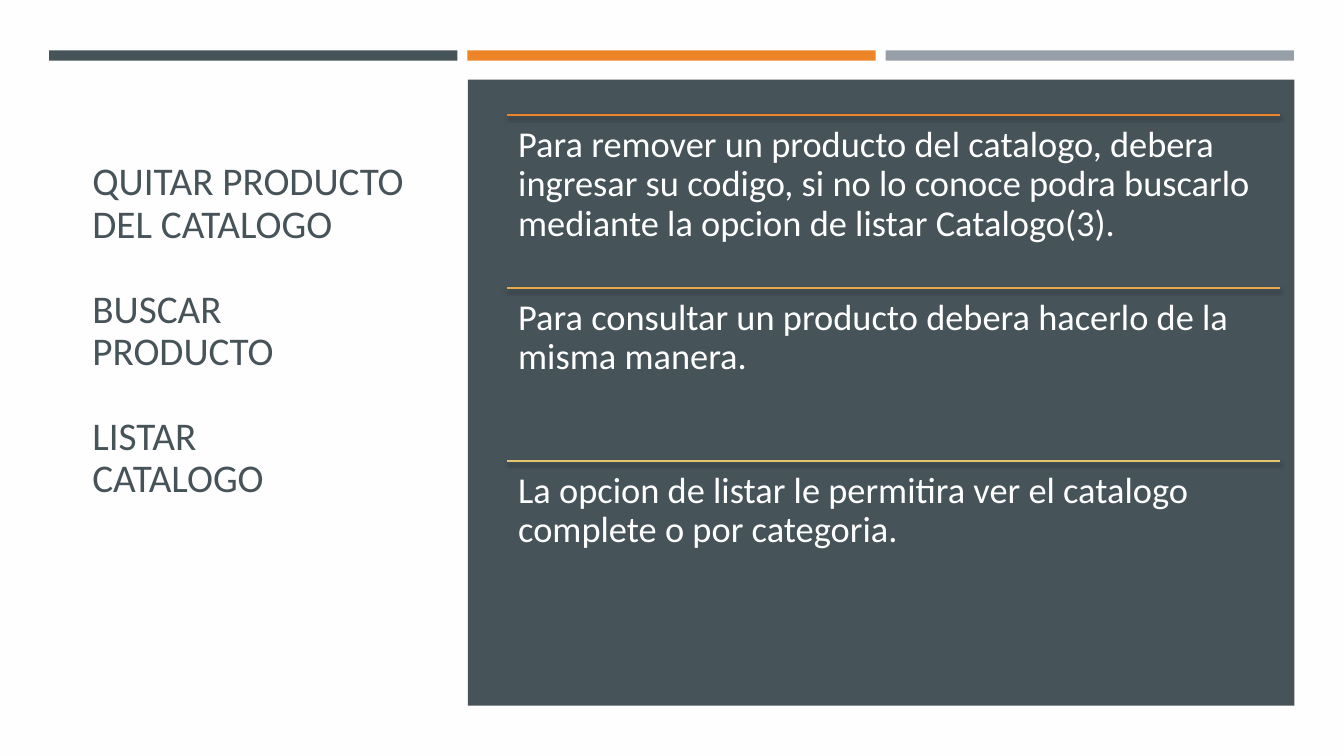
from lxml.etree import SubElement
from pptx import Presentation
from pptx.dml.color import RGBColor
from pptx.enum.shapes import MSO_CONNECTOR, MSO_SHAPE
from pptx.enum.text import MSO_ANCHOR
from pptx.oxml.ns import qn
from pptx.util import Cm, Pt

COLORS = {
    "paper": "FFFEFF",
    "slate": "465359",
    "orange": "ED8428",
    "gray": "969FA7",
    "amber": "E8A94C",
    "gold": "E6C46D",
    "white": "FFFFFF",
    "black": "000000",
}


class SlideBuilder:
    font = "Calibri"
    line_spacing = 0.9

    def __init__(self, s):
        self.s = s

    def color(self, name):
        return RGBColor.from_string(COLORS[name])

    def rect(self, x, y, w, h, fill):
        sp = self.s.shapes.add_shape(MSO_SHAPE.RECTANGLE, Cm(x), Cm(y), Cm(w), Cm(h))
        sp.shadow.inherit = False
        sp.fill.solid()
        sp.fill.fore_color.rgb = self.color(fill)
        sp.line.fill.background()

    def text(self, x, y, w, h, paragraphs, size, color, space_after=0):
        tf = self.s.shapes.add_textbox(Cm(x), Cm(y), Cm(w), Cm(h)).text_frame
        tf.word_wrap = True
        tf.text = "\n".join(paragraphs)
        for p in tf.paragraphs:
            p.font.name = self.font
            p.font.size = Pt(size)
            p.font.color.rgb = self.color(color)
            p.line_spacing = self.line_spacing
            p.space_after = Pt(space_after)
        return tf

    def rule(self, x, y, w, color):
        line = self.s.shapes.add_connector(
            MSO_CONNECTOR.STRAIGHT, Cm(x), Cm(y), Cm(x + w), Cm(y))
        line.line.color.rgb = self.color(color)
        line.line.width = Pt(1)
        # Soft shadow straight below the line
        effects = SubElement(line._element.spPr, qn("a:effectLst"))
        shadow = SubElement(effects, qn("a:outerShdw"), blurRad=str(Pt(3)),
                            dist=str(Pt(2)), dir="5400000", rotWithShape="0")
        clr = SubElement(shadow, qn("a:srgbClr"), val=COLORS["black"])
        SubElement(clr, qn("a:alpha"), val="55000")


def main():
    prs = Presentation()
    prs.slide_width, prs.slide_height = Cm(33.87), Cm(19.05)
    slide = SlideBuilder(prs.slides.add_slide(prs.slide_layouts[6]))

    # Background
    slide.rect(0, 0, 33.87, 19.05, "paper")

    # Title
    topics = ["QUITAR PRODUCTO DEL CATALOGO", "BUSCAR\vPRODUCTO", "LISTAR\vCATALOGO"]
    tf = slide.text(2.08, 2.9, 8.48, 13.08, topics, 28, "slate", space_after=30.5)
    tf.vertical_anchor = MSO_ANCHOR.MIDDLE
    tf.margin_bottom = Cm(2.29)

    # Top bars
    for i, fill in enumerate(["slate", "orange", "gray"]):
        slide.rect(1.24 + i * 10.54, 1.27, 10.29, 0.26, fill)

    # Panel with one ruled row per topic
    slide.rect(11.79, 2.01, 20.83, 15.77, "slate")
    rows = [
        ("orange", "Para remover un producto del catalogo, debera ingresar su codigo, "
                   "si no lo conoce podra buscarlo mediante la opcion de listar Catalogo(3)."),
        ("amber", "Para consultar un producto debera hacerlo de la misma manera."),
        ("gold", "La opcion de listar le permitira ver el catalogo complete o por categoria."),
    ]
    x, w, row_h = 12.78, 19.48, 4.36
    for i, (color, text) in enumerate(rows):
        y = 2.9 + i * row_h
        slide.rule(x, y, w, color)
        tf = slide.text(x, y, w, row_h, [text], 26, "white")
        tf.margin_left = tf.margin_top = tf.margin_right = tf.margin_bottom = Cm(0.28)

    prs.save("out.pptx")


if __name__ == "__main__":
    main()
